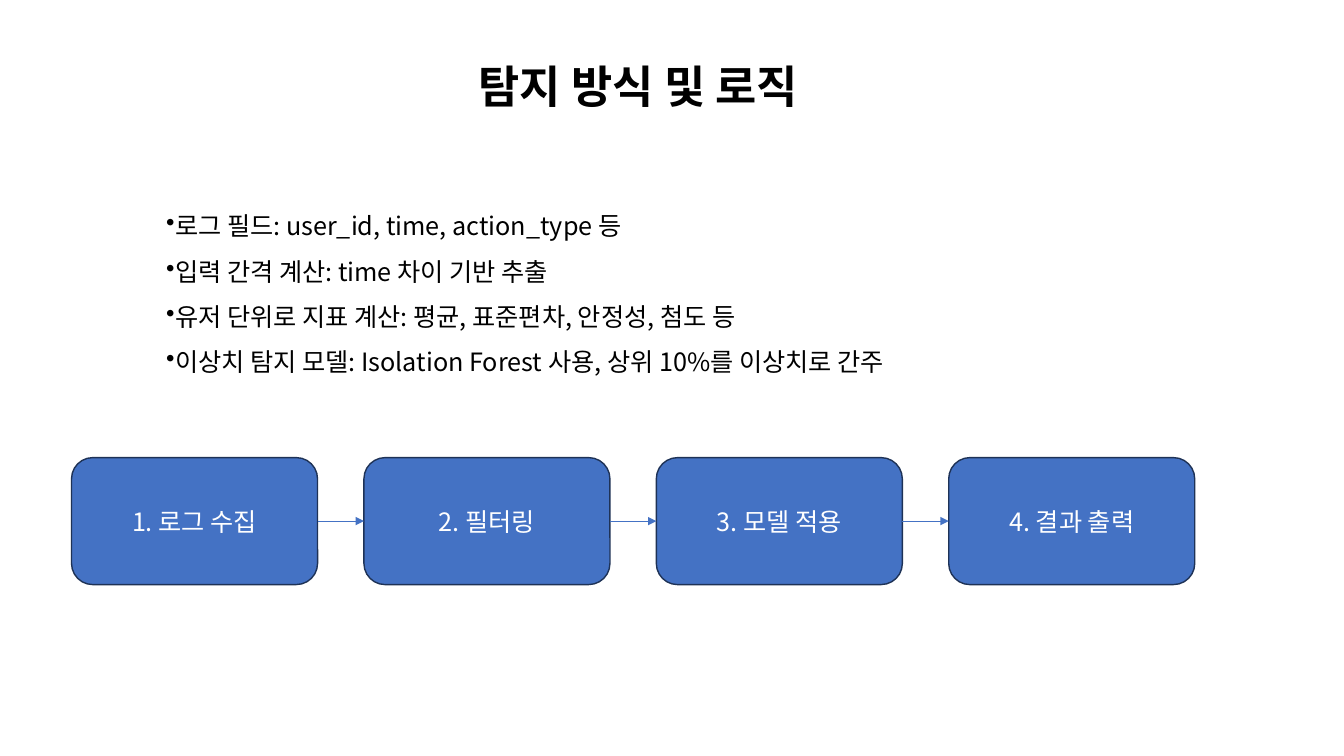
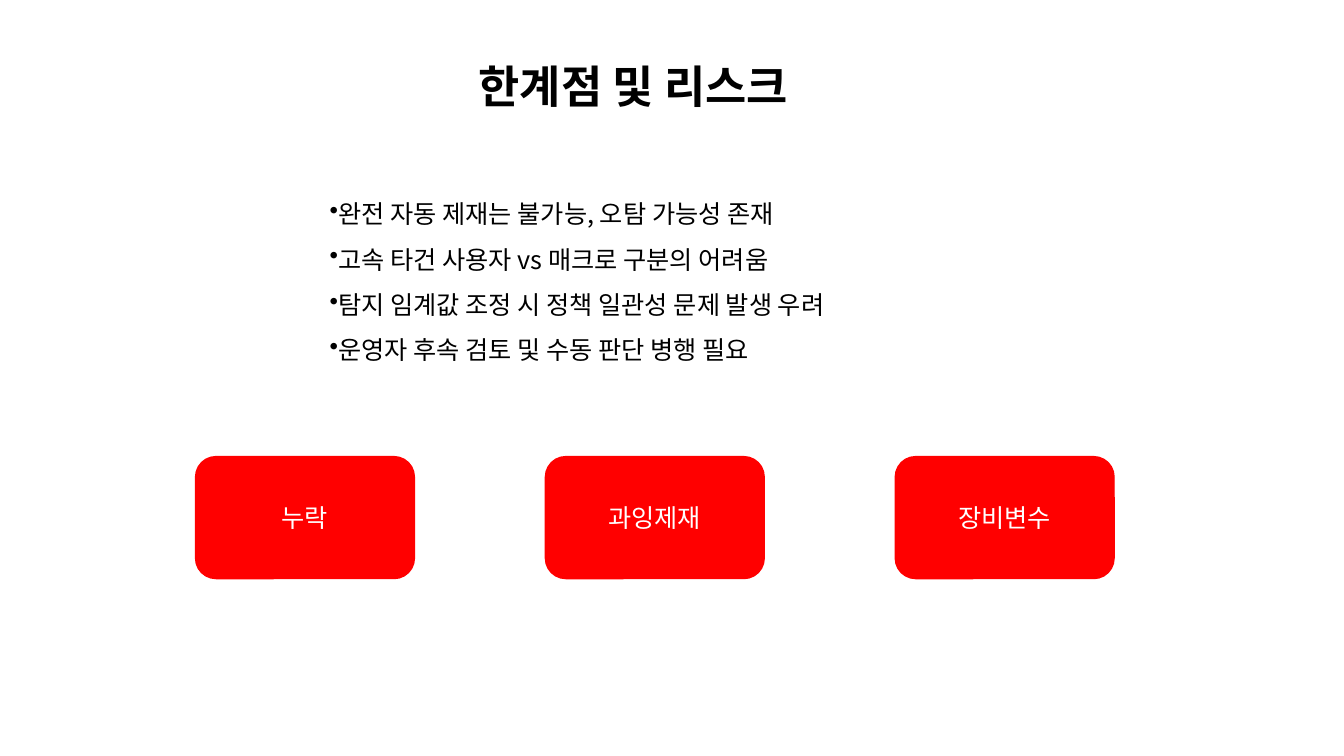
import lxml.etree
import pptx
import pptx.dml.color
import pptx.enum.dml
import pptx.enum.shapes
import pptx.enum.text
import pptx.oxml.ns
import pptx.util
from pptx.util import Inches

COLOURS = {
    "background": "FFFFFF",
    "text": "000000",
    "box_text": "FFFFFF",
    "step": "4472C4",
    "step_line": "1E3256",
    "risk": "FF0000",
}


class Deck:
    """Holds the shared style and the current slide."""

    font = "Noto Sans CJK KR"
    title_size = 32
    body_size = 18

    def __init__(self):
        self.presentation = pptx.Presentation()
        self.presentation.slide_width = Inches(13.33)
        self.presentation.slide_height = Inches(7.5)
        self.slide = None

    def colour(self, name):
        return pptx.dml.color.RGBColor.from_string(COLOURS[name])

    def add_element(self, parent, tag, **attributes):
        return lxml.etree.SubElement(parent, pptx.oxml.ns.qn(tag), attributes)

    def add_slide(self, title, title_width):
        self.slide = self.presentation.slides.add_slide(self.presentation.slide_layouts[6])
        fill = self.slide.background.fill
        fill.solid()
        fill.fore_color.rgb = self.colour("background")
        frame = self.text_box(4.65, 0.53, title_width, 0.64)
        self.add_run(frame.paragraphs[0], title, self.title_size, bold=True)

    def add_run(self, paragraph, text, size, colour="text", bold=False):
        run = paragraph.add_run()
        run.text = text
        run.font.size = pptx.util.Pt(size)
        run.font.bold = bold
        run.font.color.rgb = self.colour(colour)
        run.font.name = self.font
        self.add_element(run.font._element, "a:ea", typeface=self.font)

    def text_box(self, left, top, width, height):
        box = self.slide.shapes.add_textbox(
            Inches(left), Inches(top), Inches(width), Inches(height))
        frame = box.text_frame
        frame.word_wrap = True
        frame.auto_size = pptx.enum.text.MSO_AUTO_SIZE.SHAPE_TO_FIT_TEXT
        return frame

    def bullets(self, left, top, width, height, lines, anchor):
        frame = self.text_box(left, top, width, height)
        frame.vertical_anchor = anchor
        for index, line in enumerate(lines):
            paragraph = frame.add_paragraph() if index else frame.paragraphs[0]
            paragraph.line_spacing = 1.5
            properties = paragraph._p.get_or_add_pPr()
            self.add_element(properties, "a:buChar", char="•")
            self.add_run(paragraph, line, self.body_size)

    def box_row(self, left, top, width, height, pitch, labels, fill, line):
        boxes = []
        for index, label in enumerate(labels):
            box = self.slide.shapes.add_shape(
                pptx.enum.shapes.MSO_SHAPE.ROUNDED_RECTANGLE,
                Inches(left + index * pitch), Inches(top), Inches(width), Inches(height))
            box.shadow.inherit = False
            box.fill.solid()
            box.fill.fore_color.rgb = self.colour(fill)
            box.line.color.rgb = self.colour(line)
            box.line.width = pptx.util.Pt(1)
            frame = box.text_frame
            frame.vertical_anchor = pptx.enum.text.MSO_ANCHOR.MIDDLE
            paragraph = frame.paragraphs[0]
            paragraph.alignment = pptx.enum.text.PP_ALIGN.CENTER
            self.add_run(paragraph, label, self.body_size, "box_text")
            boxes.append(box)
        return boxes

    def arrow(self, source, target):
        connector = self.slide.shapes.add_connector(
            pptx.enum.shapes.MSO_CONNECTOR.STRAIGHT, 0, 0, 0, 0)
        connector.begin_connect(source, 3)
        connector.end_connect(target, 1)
        connector.line.color.rgb = self.colour("step")
        connector.line.width = pptx.util.Pt(0.5)
        self.add_element(connector.line._get_or_add_ln(), "a:tailEnd", type="triangle")
        self.add_element(connector._element.spPr, "a:effectLst")


def main():
    deck = Deck()
    anchors = pptx.enum.text.MSO_ANCHOR

    # Detection method: bullets and process flow
    deck.add_slide("탐지 방식 및 로직", 4.02)
    deck.bullets(1.55, 1.89, 10.24, 1.86, [
        "로그 필드: user_id, time, action_type 등",
        "입력 간격 계산: time 차이 기반 추출",
        "유저 단위로 지표 계산: 평균, 표준편차, 안정성, 첨도 등",
        "이상치 탐지 모델: Isolation Forest 사용, 상위 10%를 이상치로 간주",
    ], anchors.TOP)
    steps = deck.box_row(
        0.71, 4.54, 2.44, 1.26, 2.9,
        ["1. 로그 수집", "2. 필터링", "3. 모델 적용", "4. 결과 출력"],
        "step", "step_line")
    for source, target in zip(steps, steps[1:]):
        deck.arrow(source, target)

    # Limits and risks: bullets and risk boxes
    deck.add_slide("한계점 및 리스크", 3.68)
    deck.bullets(3.17, 1.79, 6.99, 1.86, [
        "완전 자동 제재는 불가능, 오탐 가능성 존재",
        "고속 타건 사용자 vs 매크로 구분의 어려움",
        "탐지 임계값 조정 시 정책 일관성 문제 발생 우려",
        "운영자 후속 검토 및 수동 판단 병행 필요",
    ], anchors.MIDDLE)
    deck.box_row(
        1.94, 4.53, 2.17, 1.21, 3.47,
        ["누락", "과잉제재", "장비변수"], "risk", "risk")

    deck.presentation.save("out.pptx")


if __name__ == "__main__":
    main()
